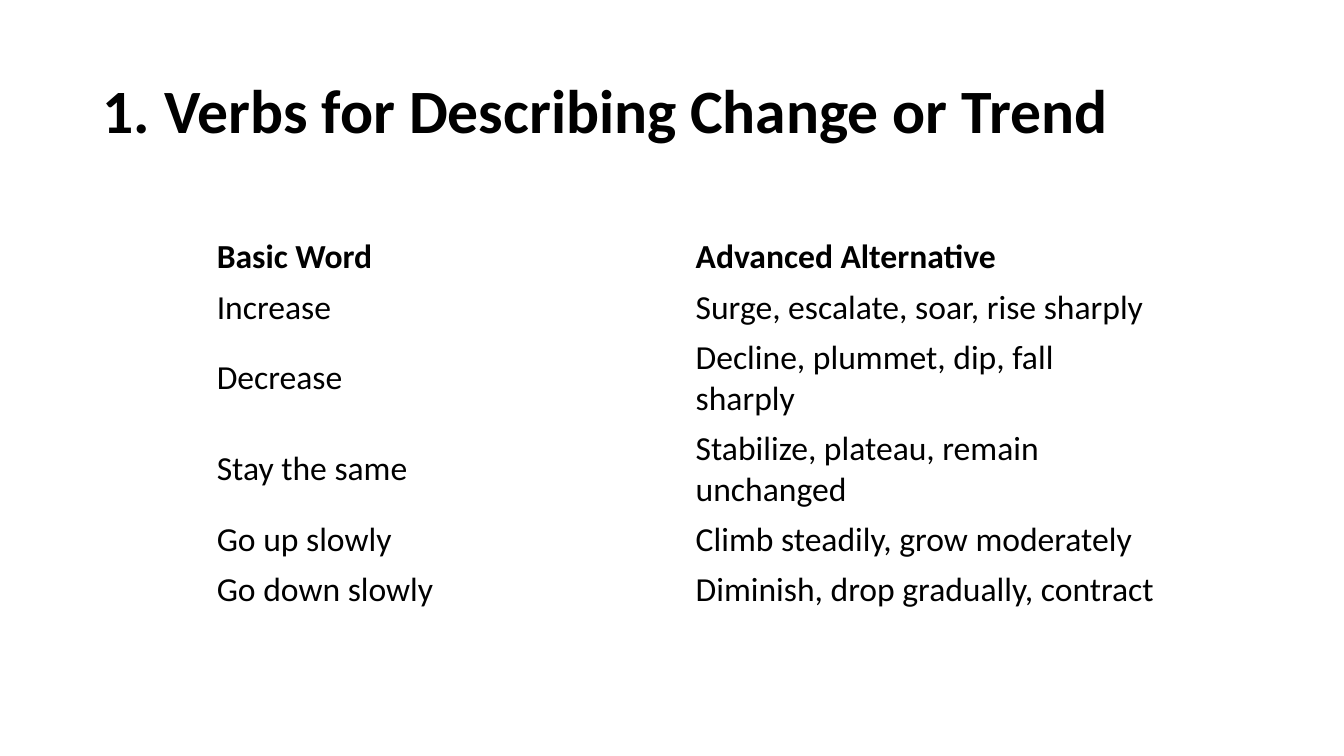
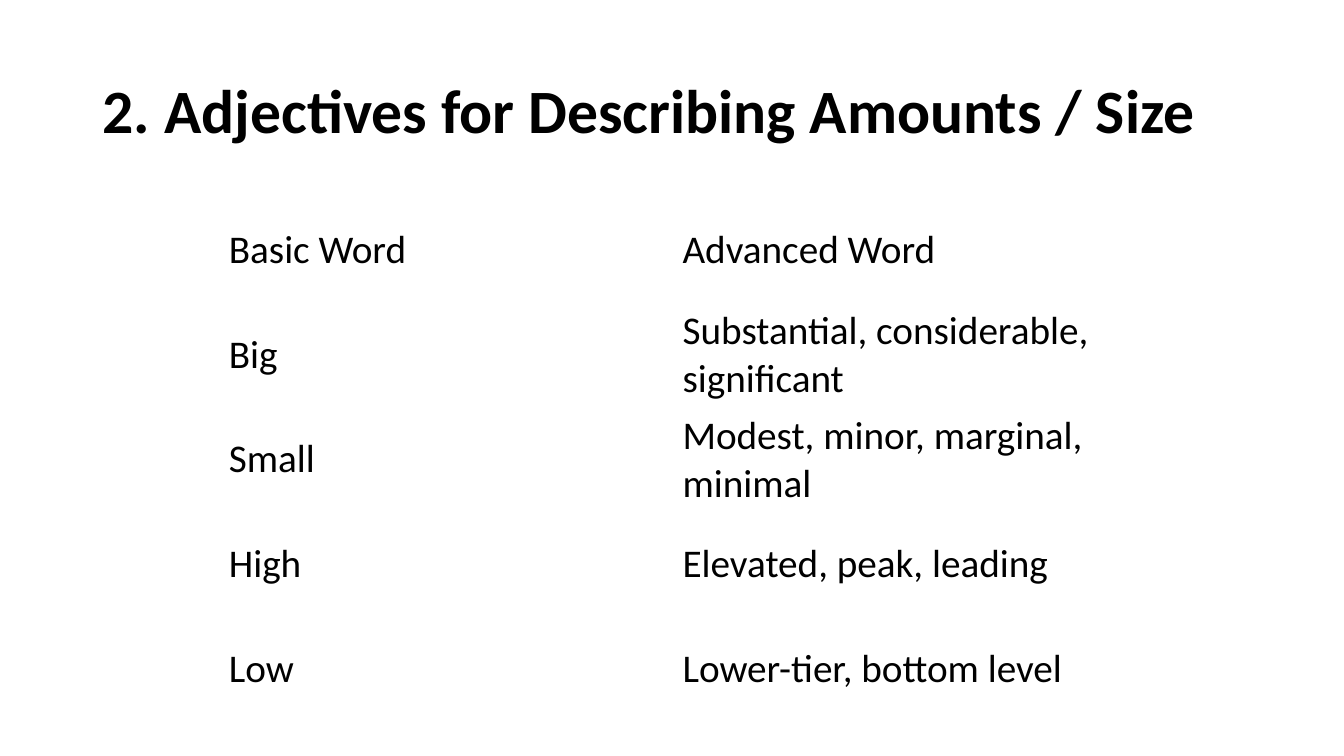
import pptx
import pptx.util
import pptx.dml.color
import pptx.enum.text

BLACK = pptx.dml.color.RGBColor(0x00, 0x00, 0x00)
WHITE = pptx.dml.color.RGBColor(0xFF, 0xFF, 0xFF)
FONT = "Calibri"
SLIDE_WIDTH, SLIDE_HEIGHT = 13.33, 7.5
TITLE_BOX = (0.92, 0.4, 11.5, 1.45)
TITLE_FORMAT = {"size": pptx.util.Pt(44), "bold": True}
MIDDLE = pptx.enum.text.MSO_ANCHOR.MIDDLE

VERBS = [
    ("Basic Word", "Advanced Alternative"),
    ("Increase", "Surge, escalate, soar, rise sharply"),
    ("Decrease", "Decline, plummet, dip, fall sharply"),
    ("Stay the same", "Stabilize, plateau, remain unchanged"),
    ("Go up slowly", "Climb steadily, grow moderately"),
    ("Go down slowly", "Diminish, drop gradually, contract"),
]
ADJECTIVES = [
    ("Basic Word", "Advanced Word"),
    ("Big", "Substantial, considerable, significant"),
    ("Small", "Modest, minor, marginal, minimal"),
    ("High", "Elevated, peak, leading"),
    ("Low", "Lower-tier, bottom level"),
]


def inches(lengths):
    return [pptx.util.Inches(length) for length in lengths]


def write(paragraph, text, formats):
    run = paragraph.add_run()
    run.text = text
    run.font.color.rgb = BLACK
    for name, value in {"name": FONT, **formats}.items():
        setattr(run.font, name, value)


def add_titled_slide(deck, title):
    slide = deck.slides.add_slide(deck.slide_layouts[6])
    slide.background.fill.solid()
    slide.background.fill.fore_color.rgb = WHITE
    frame = slide.shapes.add_textbox(*inches(TITLE_BOX)).text_frame
    frame.word_wrap = True
    frame.vertical_anchor = MIDDLE
    heading = frame.paragraphs[0]
    heading.line_spacing = 0.9
    write(heading, title, TITLE_FORMAT)
    return slide


def add_word_table(slide, entries, left, top, column_width, row_heights, size, bold_header):
    columns = len(entries[0])
    box = inches((left, top, column_width * columns, sum(row_heights)))
    table = slide.shapes.add_table(len(entries), columns, *box).table
    for flag in ("first_row", "horz_banding"):
        setattr(table, flag, False)
    for row, height in zip(table.rows, row_heights):
        row.height = pptx.util.Inches(height)
    for row_index, words in enumerate(entries):
        formats = {"size": pptx.util.Pt(size), "bold": bold_header and row_index == 0}
        for column_index, word in enumerate(words):
            cell = table.cell(row_index, column_index)
            cell.fill.background()
            cell.vertical_anchor = MIDDLE
            write(cell.text_frame.paragraphs[0], word, formats)


def main():
    deck = pptx.Presentation()
    deck.slide_width, deck.slide_height = inches((SLIDE_WIDTH, SLIDE_HEIGHT))

    verbs_slide = add_titled_slide(deck, "1. Verbs for Describing Change or Trend")
    one_line, two_lines = 0.5, 0.9
    verb_rows = [one_line] * 2 + [two_lines] * 2 + [one_line] * 2
    add_word_table(verbs_slide, VERBS, 2.05, 2.3, 4.75, verb_rows, 24, True)

    adjectives_slide = add_titled_slide(deck, "2. Adjectives for Describing Amounts / Size")
    adjective_rows = [1.04] * len(ADJECTIVES)
    add_word_table(adjectives_slide, ADJECTIVES, 2.17, 1.96, 4.5, adjective_rows, 28, False)

    deck.save("out.pptx")


if __name__ == "__main__":
    main()
